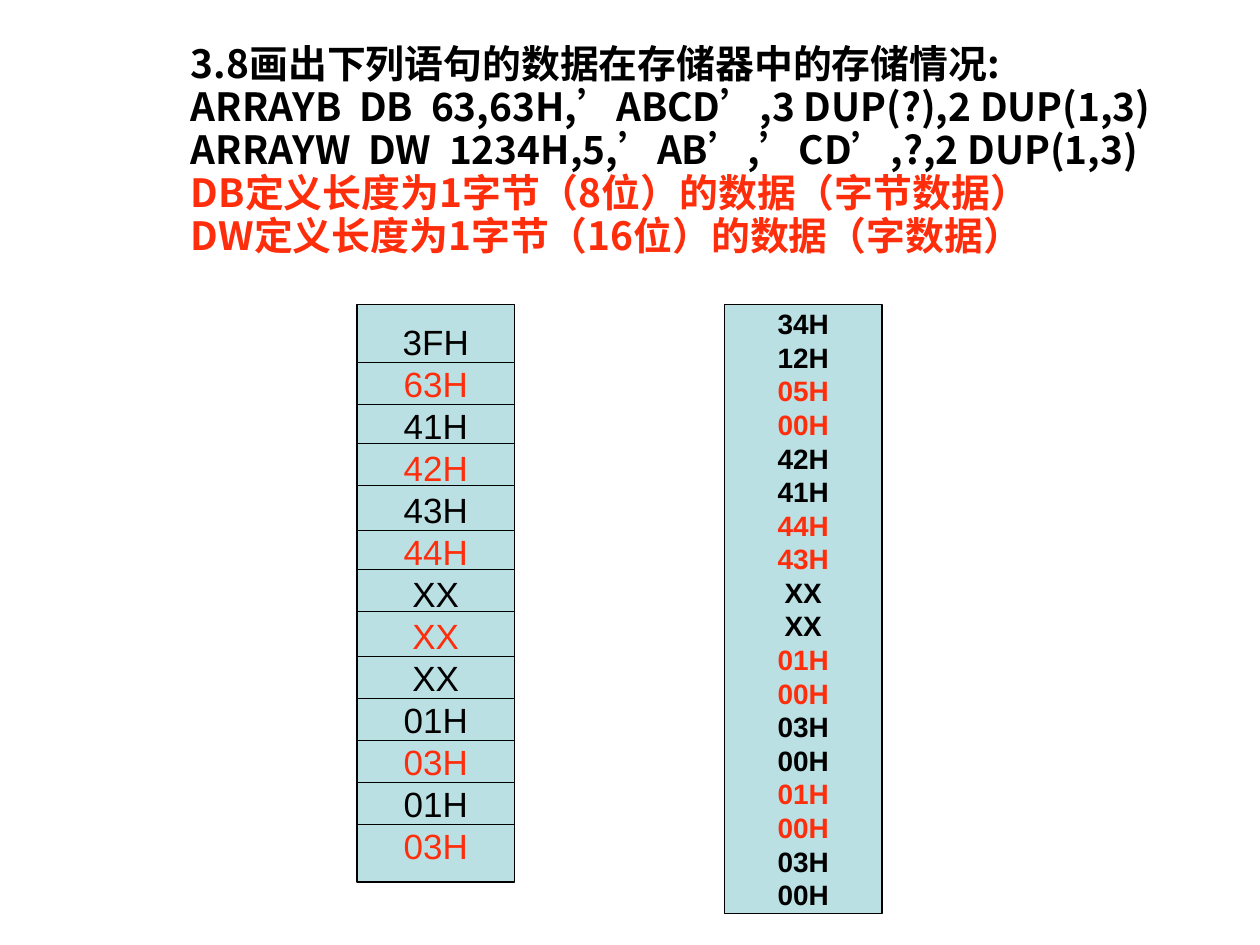
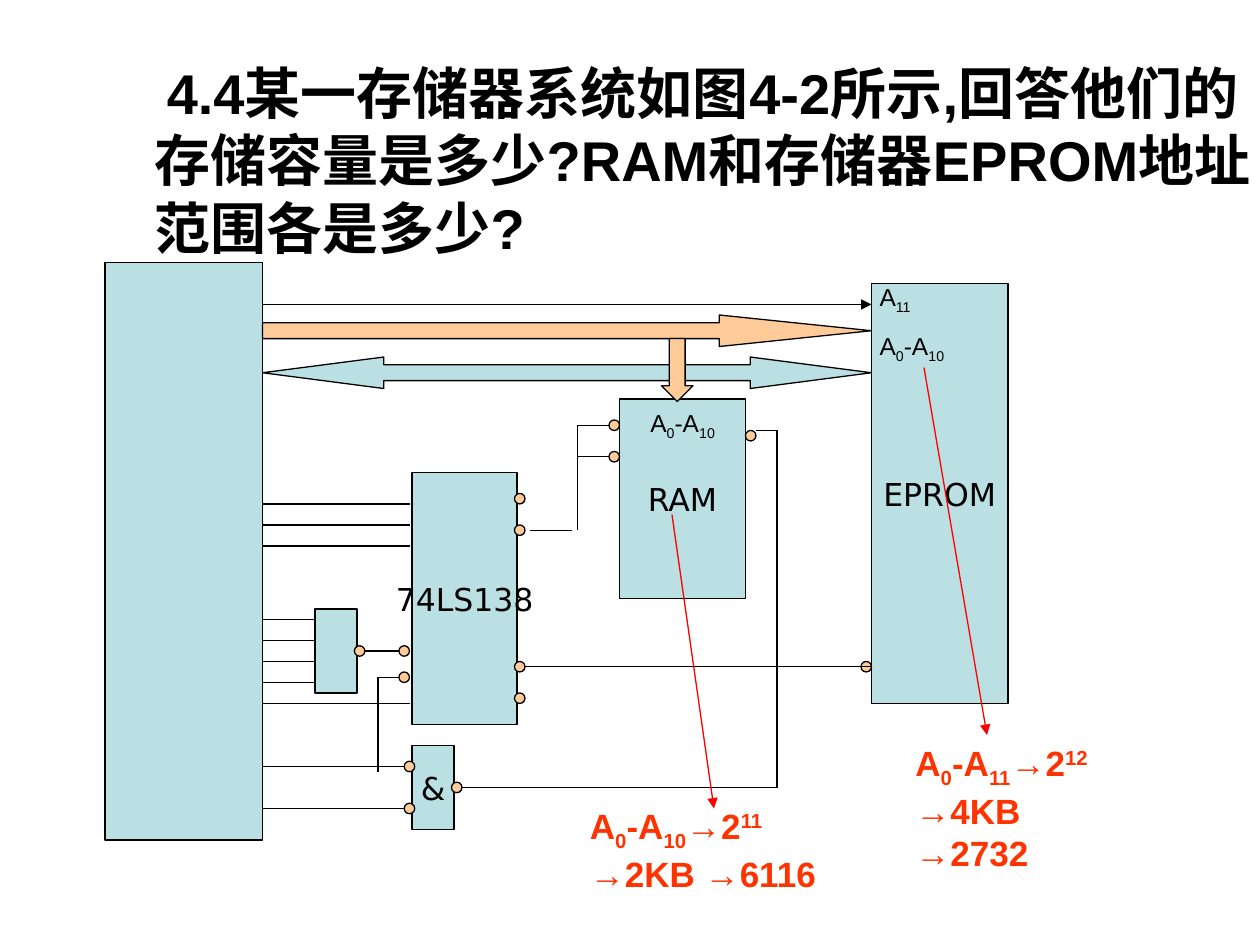
import pptx
import pptx.util
import pptx.dml.color
import pptx.enum.shapes
import pptx.enum.text
import pptx.oxml
import pptx.oxml.ns

Pt = pptx.util.Pt
RGBColor = pptx.dml.color.RGBColor
SHAPE = pptx.enum.shapes.MSO_SHAPE
STRAIGHT = pptx.enum.shapes.MSO_CONNECTOR.STRAIGHT
CENTER = pptx.enum.text.PP_ALIGN.CENTER
MIDDLE = pptx.enum.text.MSO_ANCHOR.MIDDLE
qn = pptx.oxml.ns.qn

BLACK = RGBColor(0x00, 0x00, 0x00)
RED_TEXT = RGBColor(0xFE, 0x2E, 0x0C)
ANSWER_RED = RGBColor(0xFF, 0x33, 0x00)
POINTER_RED = RGBColor(0xFF, 0x00, 0x00)
BLOCK_BLUE = RGBColor(0xBB, 0xE0, 0xE3)
PEACH = RGBColor(0xFF, 0xCC, 0x99)
CJK_FONT = "Noto Sans CJK SC"
LABEL_FONT = "DejaVu Sans"
SUB, SUPER = -25000, 30000


def write(frame, lines, size, font="Arial", bold=False, east_font=CJK_FONT):
    """Write lines of (color, [(text, baseline), ...]); return the paragraphs."""
    for number, (color, pieces) in enumerate(lines):
        paragraph = frame.add_paragraph() if number else frame.paragraphs[0]
        for text, baseline in pieces:
            run = paragraph.add_run()
            run.text = text
            run.font.name = font
            run.font.size = Pt(size)
            run.font.bold = bold
            run.font.color.rgb = color
            properties = run._r.get_or_add_rPr()
            properties.find(qn("a:latin")).addnext(
                properties.makeelement(qn("a:ea"), {"typeface": east_font}))
            if baseline:
                properties.set("baseline", str(baseline))
    return frame.paragraphs


def add_shape(slide, kind, box, fill=BLOCK_BLUE):
    shape = slide.shapes.add_shape(kind, *map(Pt, box))
    shape.shadow.inherit = False
    shape.fill.solid()
    shape.fill.fore_color.rgb = fill
    shape.line.color.rgb = BLACK
    shape.line.width = Pt(0.75)
    shape.text_frame.word_wrap = False
    shape.text_frame.vertical_anchor = MIDDLE
    return shape


presentation = pptx.Presentation()
presentation.slide_width = Pt(720)
presentation.slide_height = Pt(540)
blank = presentation.slide_layouts[6]
storage_slide = presentation.slides.add_slide(blank)
system_slide = presentation.slides.add_slide(blank)

# Data storage: statements and two memory columns
statements = [
    (BLACK, "3.8画出下列语句的数据在存储器中的存储情况:"),
    (BLACK, "ARRAYB  DB  63,63H,’ABCD’,3 DUP(?),2 DUP(1,3)"),
    (BLACK, "ARRAYW  DW  1234H,5,’AB’,’CD’,?,2 DUP(1,3)"),
    (RED_TEXT, "DB定义长度为1字节（8位）的数据（字节数据）"),
    (RED_TEXT, "DW定义长度为1字节（16位）的数据（字数据）"),
]
statement_frame = storage_slide.shapes.add_textbox(Pt(102), Pt(24), Pt(594), Pt(150)).text_frame
statement_frame.word_wrap = True
statement_lines = [(color, [(text, 0)]) for color, text in statements]
for number, paragraph in enumerate(write(statement_frame, statement_lines, 22.2, CJK_FONT, True)):
    paragraph.line_spacing = Pt(21.6)
    paragraph.space_before = Pt(3 if number else 0)

# Each letter gives the colour of one cell: k black, r red
memory_columns = [
    ((204, 174, 90, 330), 20, False, "krkrkrkrkkrkr",
     "3FH 63H 41H 42H 43H 44H XX XX XX 01H 03H 01H 03H"),
    ((414, 174, 90, 348), 16, True, "kkrrkkrrkkrrkkrrkk",
     "34H 12H 05H 00H 42H 41H 44H 43H XX XX 01H 00H 03H 00H 01H 00H 03H 00H"),
]
for box, size, bold, colors, cells in memory_columns:
    column = add_shape(storage_slide, SHAPE.RECTANGLE, box)
    cell_lines = [(RED_TEXT if letter == "r" else BLACK, [(cell, 0)])
                  for letter, cell in zip(colors, cells.split())]
    for paragraph in write(column.text_frame, cell_lines, size, bold=bold):
        paragraph.alignment = CENTER
        paragraph.line_spacing = Pt(size * 1.2)

# Memory system: question
question_frame = system_slide.shapes.add_textbox(Pt(54), Pt(30), Pt(672), Pt(444)).text_frame
question_frame.word_wrap = True
question = "4.4某一存储器系统如图4-2所示,回答他们的存储容量是多少?RAM和存储器EPROM地址范围各是多少?"
question_paragraph = write(question_frame, [(BLACK, [(question, 0)])], 32, bold=True)[0]
question_paragraph.line_spacing = Pt(38.4)
indents = question_paragraph._p.get_or_add_pPr()
indents.set("marL", str(Pt(27)))
indents.set("indent", str(Pt(7.2)))

# Memory system: blocks
blocks = {
    "processor": ((60, 150, 90, 330), ""),
    "inverter": ((180, 348, 24, 48), ""),
    "decoder": ((235.5, 270, 60, 144), "74LS138"),
    "ram": ((354, 228, 72, 114), "RAM"),
    "eprom": ((498, 162, 78, 240), "EPROM"),
    "and_gate": ((235.5, 426, 24, 48), "&"),
}
block_shapes = {}
for name, (box, label) in blocks.items():
    block_shapes[name] = add_shape(system_slide, SHAPE.RECTANGLE, box)
    if label:
        label_lines = [(BLACK, [(label, 0)])]
        write(block_shapes[name].text_frame, label_lines, 18, LABEL_FONT)[0].alignment = CENTER
add_shape(system_slide, SHAPE.OVAL, (492, 378, 6, 6), PEACH)

# Wires of both slides: slide, start, end, colour, arrowhead
wires = [(storage_slide, (204, y), (294, y), BLACK, False)
         for y in (207, 231, 253.5, 277.5, 303, 325.5, 349.5, 375, 399, 423, 447, 471)]
wires += [(system_slide, (150, y), (180, y), BLACK, False) for y in range(354, 391, 12)]
wires += [(system_slide, (150, y), (234, y), BLACK, False)
          for y in (288, 300, 312, 402, 438, 462)]
wires += [(system_slide, start, end, BLACK, False) for start, end in [
    ((300, 381), (498, 381)),
    ((432, 246), (444, 246)),
    ((444, 246), (444, 450)),
    ((264, 450), (444, 450)),
    ((330, 243), (348, 243)),
    ((330, 261), (348, 261)),
    ((330, 243), (330, 303)),
    ((303, 303), (327, 303)),
    ((216, 387), (228, 387)),
    ((216, 387), (216, 441)),
    ((204, 372), (234, 372)),
]]
wires += [
    (system_slide, (150, 174), (498, 174), BLACK, True),
    (system_slide, (384, 294), (408, 462), POINTER_RED, True),
    (system_slide, (528, 210), (564, 420), POINTER_RED, True),
]
for slide, start, end, color, arrow in wires:
    wire = slide.shapes.add_connector(STRAIGHT, *map(Pt, start + end))
    wire.line.color.rgb = color
    wire.line.width = Pt(0.75)
    if arrow:
        line = wire.line._get_or_add_ln()
        line.append(line.makeelement(qn("a:tailEnd"), {"type": "triangle"}))
    properties = wire._element.spPr
    properties.append(properties.makeelement(qn("a:effectLst"), {}))
    if start == (204, 372):
        wire.begin_connect(block_shapes["inverter"], 3)

# Pin bubbles by centre
bubbles = [(205.5, 372), (231, 372), (231, 387), (261, 450), (234, 438), (234, 462),
           (297, 285), (297, 303), (297, 381), (297, 399), (429, 249), (351, 243), (351, 261)]
for x, y in bubbles:
    add_shape(system_slide, SHAPE.OVAL, (x - 3, y - 3, 6, 6), PEACH)

# Data and address buses
buses = [
    (SHAPE.LEFT_RIGHT_ARROW, (150, 204, 348, 18), BLOCK_BLUE, 3.85),
    (SHAPE.RIGHT_ARROW, (150, 180, 348, 18), PEACH, 4.83),
    (SHAPE.DOWN_ARROW, (378, 193.5, 18, 36), PEACH, 0.5),
]
for kind, box, fill, head_length in buses:
    bus = add_shape(system_slide, kind, box, fill)
    bus.adjustments[0] = 0.5
    bus.adjustments[1] = head_length

# Address labels and answers
low_address = [("A", 0), ("0", SUB), ("-A", 0), ("10", SUB)]
full_address = low_address[:3] + [("11", SUB)]
ram_answer = low_address + [("→2", 0), ("11", SUPER), (" →2KB →6116", 0)]
eprom_answer = full_address + [("→2", 0), ("12", SUPER), (" →4KB →2732", 0)]
notes = [
    ((495.5, 157.5, 90, 54.5), [(BLACK, [("A", 0), ("11", SUB)]), (BLACK, low_address)], 14, False),
    ((364.5, 229.5, 90, 27), [(BLACK, low_address)], 14, False),
    ((330, 456, 150, 82), [(ANSWER_RED, ram_answer)], 20, True),
    ((516, 420, 137, 82), [(ANSWER_RED, eprom_answer)], 20, True),
]
for box, lines, size, bold in notes:
    frame = system_slide.shapes.add_textbox(*map(Pt, box)).text_frame
    frame.word_wrap = True
    for paragraph in write(frame, lines, size, bold=bold, east_font=LABEL_FONT)[1:]:
        paragraph.space_before = Pt(8.8)

presentation.save("out.pptx")
